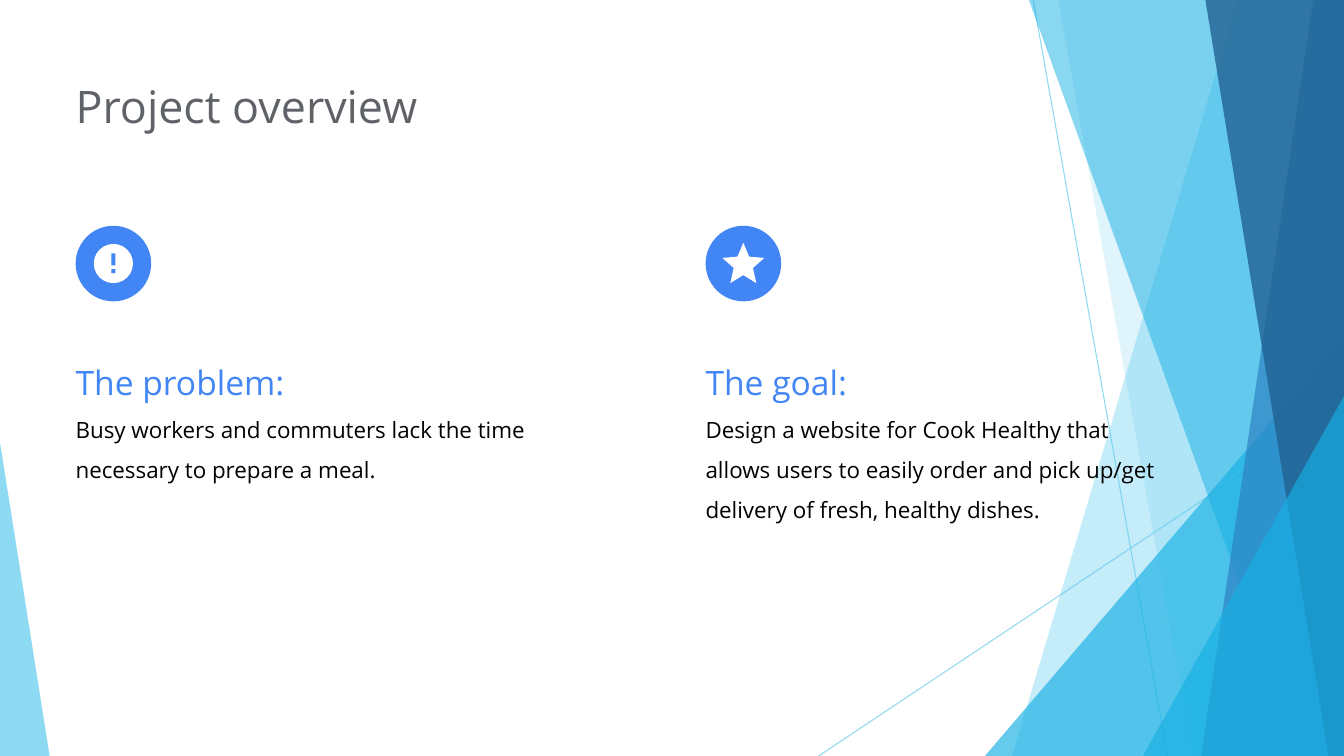
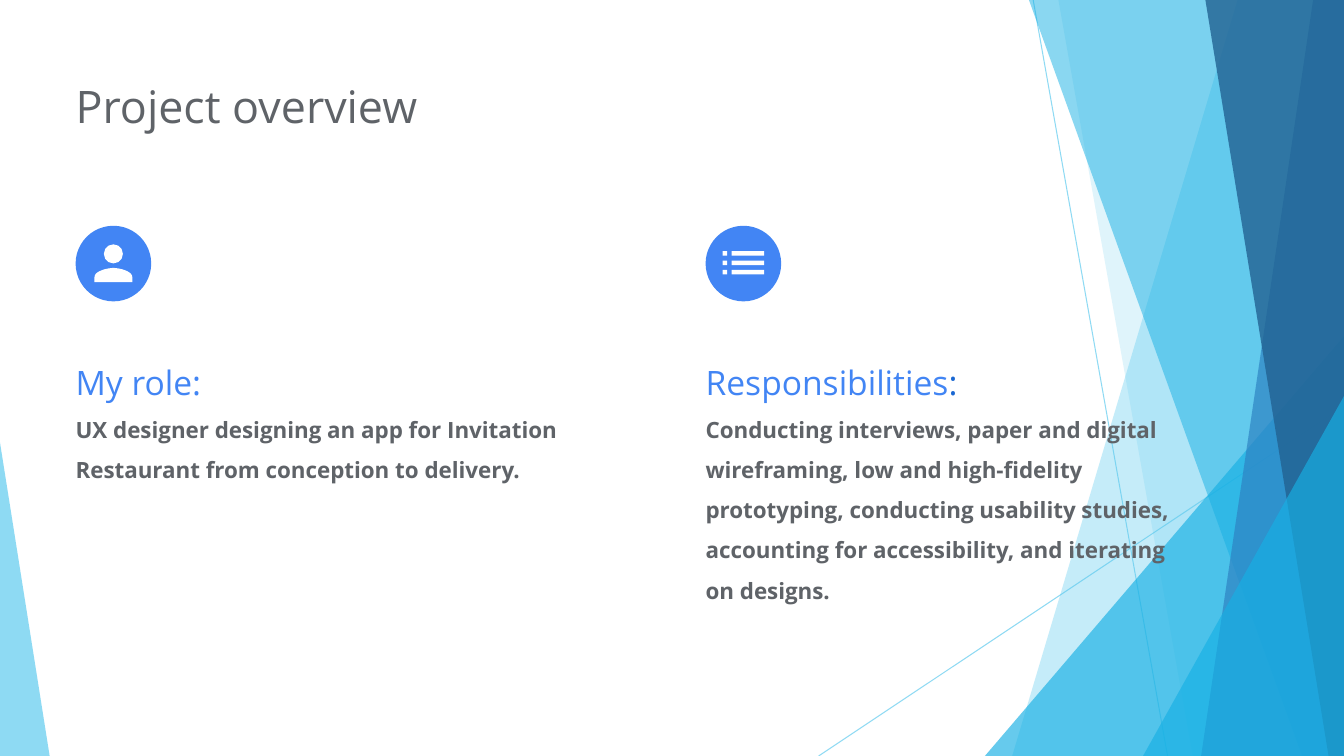
from lxml.etree import SubElement
from pptx import Presentation
from pptx.dml.color import RGBColor
from pptx.enum.shapes import MSO_CONNECTOR, MSO_SHAPE
from pptx.enum.text import MSO_AUTO_SIZE
from pptx.oxml.ns import qn
from pptx.util import Pt

WIDTH, HEIGHT = 960, 540
FONT = "Open Sans"
SKY = RGBColor(0x5F, 0xCB, 0xEF)
CYAN = RGBColor(0x17, 0xB0, 0xE4)
MID_BLUE = RGBColor(0x2E, 0x83, 0xC3)
DEEP_BLUE = RGBColor(0x22, 0x62, 0x92)
ACCENT = RGBColor(0x42, 0x85, 0xF4)
ACCENT_DARK = RGBColor(0x19, 0x67, 0xD2)
GREY = RGBColor(0x5F, 0x63, 0x68)
BLACK = RGBColor(0, 0, 0)
WHITE = RGBColor(0xFF, 0xFF, 0xFF)

TITLE = "Project overview"
TITLE_BOX = (54, 46.8, 646.5, 58.5)
COLUMN_LEFTS = (54, 504)
ICON_TOP, ICON_SIZE = 161.25, 54
ICON_MIDDLE = ICON_SIZE / 2
TEXT_TOP = 234.75

# Each column: icon, heading runs, body, box width, box height
SLIDES = [
    {"body_color": BLACK, "bold": False, "columns": [
        ("alert", [("The problem:", ACCENT)],
         "Busy workers and commuters lack the time necessary to prepare a meal.",
         361.5, 121),
        ("star", [("The goal:", ACCENT)],
         "Design a website for Cook Healthy that allows users to easily order "
         "and pick up/get delivery of fresh, healthy dishes.",
         344, 150.5),
    ]},
    {"body_color": GREY, "bold": True, "columns": [
        ("person", [("My role:", ACCENT)],
         "UX designer designing an app for Invitation Restaurant from "
         "conception to delivery.",
         361.5, 121),
        ("list", [("Responsibilities", ACCENT), (":", ACCENT_DARK)],
         "Conducting interviews, paper and digital wireframing, low and "
         "high-fidelity prototyping, conducting usability studies, accounting "
         "for accessibility, and iterating on designs.",
         361.5, 208),
    ]},
]

BACKDROP_LINES = [((738, 0), (834, HEIGHT)), ((WIDTH, 290), (584.75, HEIGHT))]
# Bands: x at top, x at bottom. Triangles: left, top, width, apex position.
BACKDROP_FACETS = [
    ("band", (884, 723), SKY, 36),
    ("band", (756, 852), SKY, 20),
    ("triangle", (703.5, 240, 256.5, 1), CYAN, 66),
    ("band", (735, 930), CYAN, 50),
    ("band", (938, 858), MID_BLUE, 70),
    ("band", (861, 949), DEEP_BLUE, 80),
    ("triangle", (816.5, 283, 143.5, 1), CYAN, 66),
    ("triangle", (0, 316, 35.5, 0), SKY, 70),
]

# Right halves of symmetric outlines: distance from the icon's middle, y
STAR_HALF = [(0, 12.2), (4.2, 22.1), (15, 23), (6.9, 30.2), (9.3, 41), (0, 35.3)]
SHOULDER_CURVE = [(0, 30.2), (4.4, 30.2), (13.5, 32.4), (13.5, 36.8)]
BUST_BOTTOM = (13.5, 40.3)


def set_opacity(shape, percent):
    for color in shape._element.spPr.iter(qn("a:srgbClr")):
        SubElement(color, qn("a:alpha")).set("val", str(percent * 1000))


def paint(shape, color):
    """Give a flat fill with no outline and no shadow."""
    shape.shadow.inherit = False
    shape.fill.solid()
    shape.fill.fore_color.rgb = color
    shape.line.fill.background()
    return shape


def add_preset(slide, kind, box, color):
    return paint(slide.shapes.add_shape(kind, *map(Pt, box)), color)


def add_polygon(slide, points, color):
    corners = [(Pt(x), Pt(y)) for x, y in points]
    builder = slide.shapes.build_freeform(*corners[0])
    builder.add_line_segments(corners[1:], close=True)
    return paint(builder.convert_to_shape(), color)


def add_backdrop(slide):
    for start, end in BACKDROP_LINES:
        line = slide.shapes.add_connector(
            MSO_CONNECTOR.STRAIGHT, *map(Pt, start + end))
        line.line.color.rgb = SKY
        line.line.width = Pt(0.75)
        set_opacity(line, 70)
        SubElement(line._element.spPr, qn("a:effectLst"))
    for kind, geometry, color, opacity in BACKDROP_FACETS:
        if kind == "band":
            top_x, bottom_x = geometry
            facet = add_polygon(slide, [(top_x, 0), (WIDTH, 0), (WIDTH, HEIGHT),
                                        (bottom_x, HEIGHT)], color)
        else:
            left, top, width, apex = geometry
            facet = add_preset(slide, MSO_SHAPE.ISOSCELES_TRIANGLE,
                               (left, top, width, HEIGHT - top), color)
            facet.adjustments[0] = apex
        set_opacity(facet, opacity)


def mirror(half):
    """Complete a right half outline, in icon coordinates."""
    right = [(ICON_MIDDLE + x, y) for x, y in half]
    left = [(ICON_MIDDLE - x, y) for x, y in reversed(half) if x]
    return right + left


def bezier(controls, steps=16):
    """Sample a cubic curve."""
    samples = []
    for step in range(steps + 1):
        t = step / steps
        weights = ((1 - t) ** 3, 3 * t * (1 - t) ** 2, 3 * t * t * (1 - t), t ** 3)
        samples.append(tuple(sum(weight * point[axis] for weight, point
                                 in zip(weights, controls)) for axis in (0, 1)))
    return samples


def add_icon(slide, icon, left):
    def preset(kind, x, y, width, height, color=WHITE):
        add_preset(slide, kind, (left + x, ICON_TOP + y, width, height), color)

    def symmetric(half):
        add_polygon(slide, [(left + x, ICON_TOP + y) for x, y in mirror(half)], WHITE)

    preset(MSO_SHAPE.OVAL, 0, 0, ICON_SIZE, ICON_SIZE, ACCENT)
    if icon == "alert":
        preset(MSO_SHAPE.OVAL, 13, 13, 28, 28)
        for y, height in ((19.8, 8.5), (31, 2.8)):
            preset(MSO_SHAPE.RECTANGLE, 25.6, y, 2.8, height, ACCENT)
    elif icon == "star":
        symmetric(STAR_HALF)
    elif icon == "person":
        preset(MSO_SHAPE.OVAL, 20.2, 13.3, 13.6, 13.6)
        symmetric(bezier(SHOULDER_CURVE) + [BUST_BOTTOM])
    elif icon == "list":
        for row in range(3):
            for x, width in ((12.2, 3.2), (18.6, 23.2)):
                preset(MSO_SHAPE.RECTANGLE, x, 18.2 + 6.7 * row, width, 3.2)


def add_text_box(slide, box):
    text_frame = slide.shapes.add_textbox(*map(Pt, box)).text_frame
    text_frame.word_wrap = True
    text_frame.auto_size = MSO_AUTO_SIZE.SHAPE_TO_FIT_TEXT
    text_frame.margin_left = 0
    text_frame.margin_top = text_frame.margin_right = text_frame.margin_bottom = Pt(9.4)
    return text_frame


def add_run(paragraph, text, size, color, bold=False):
    run = paragraph.add_run()
    run.text = text
    run.font.name = FONT
    run.font.size = Pt(size)
    run.font.bold = bold
    run.font.color.rgb = color


def add_column(slide, left, column, body_color, bold):
    icon, heading_runs, body, width, height = column
    text_frame = add_text_box(slide, (left, TEXT_TOP, width, height))
    heading = text_frame.paragraphs[0]
    for text, color in heading_runs:
        add_run(heading, text, 24, color)
    body_paragraph = text_frame.add_paragraph()
    add_run(body_paragraph, body, 16, body_color, bold)
    for paragraph in text_frame.paragraphs:
        paragraph.line_spacing = 1.5
    add_icon(slide, icon, left)


def main():
    presentation = Presentation()
    presentation.slide_width, presentation.slide_height = Pt(WIDTH), Pt(HEIGHT)
    for content in SLIDES:
        slide = presentation.slides.add_slide(presentation.slide_layouts[6])
        add_backdrop(slide)
        title = add_text_box(slide, TITLE_BOX)
        add_run(title.paragraphs[0], TITLE, 32, GREY)
        for left, column in zip(COLUMN_LEFTS, content["columns"]):
            add_column(slide, left, column, content["body_color"], content["bold"])
    presentation.save("out.pptx")


if __name__ == "__main__":
    main()
